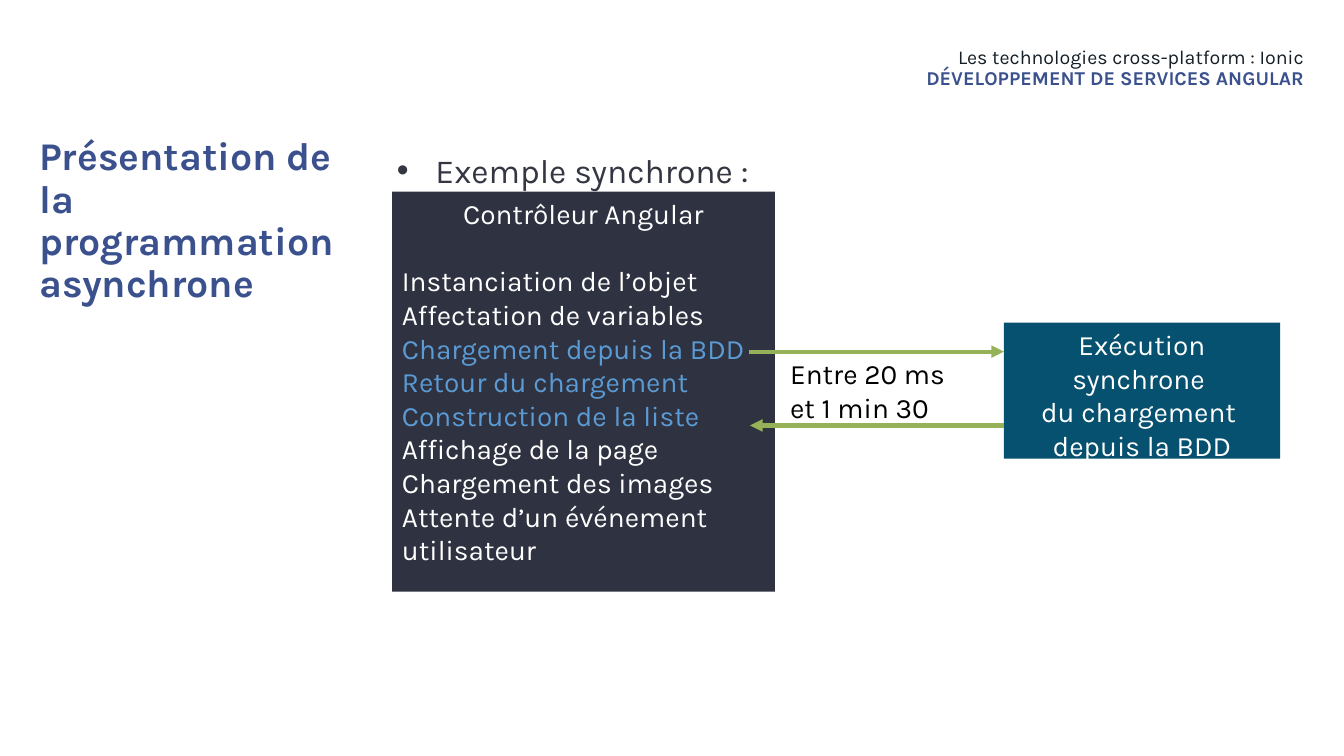
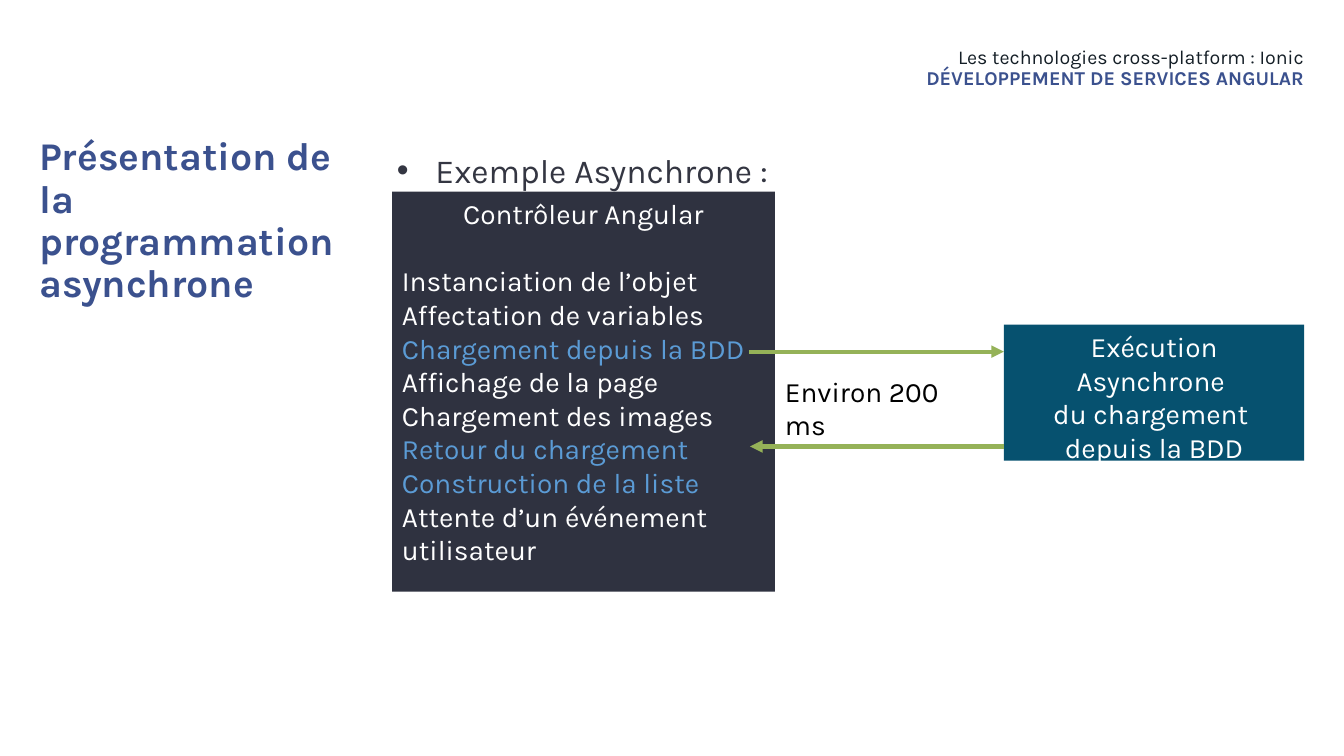
from dataclasses import dataclass

from lxml import etree
from pptx import Presentation
from pptx import util as u
from pptx.dml.color import RGBColor as Rgb
from pptx.enum import shapes, text
from pptx.oxml import ns

LEFT, MID, RIGHT = text.PP_ALIGN.LEFT, text.PP_ALIGN.CENTER, text.PP_ALIGN.RIGHT


@dataclass(frozen=True)
class Theme:
    font: str = "Karla"
    blue: str = "3B518E"
    ink: str = "141E26"
    grey: str = "343642"
    night: str = "2F3240"
    teal: str = "06516F"
    sky: str = "5B9BD5"
    green: str = "95B258"
    white: str = "FFFFFF"
    black: str = "000000"
    title: int = 28
    list: int = 24
    body: int = 20
    head: int = 14
    rule: int = 3


def put(item, form):
    for key, val in form.items():
        setattr(item, key, val)


def box(*sides):
    return dict(zip(("left", "top", "width", "height"), map(u.Cm, sides)))


class Deck:
    def __init__(self, theme):
        self.theme = theme
        self.prs = Presentation()
        put(self.prs, {"slide_width": u.Cm(33.87), "slide_height": u.Cm(19.05)})
        self.slide = None

    def page(self):
        self.slide = self.prs.slides.add_slide(self.prs.slide_layouts[1])

    def fill(self, shape, lines, size, flush=False, **form):
        frame = shape.text_frame
        put(frame, {"word_wrap": True, "auto_size": text.MSO_AUTO_SIZE.NONE,
                    "vertical_anchor": text.MSO_ANCHOR.TOP})
        if flush:
            put(frame, {"margin_" + side: 0 for side in ("left", "top", "right", "bottom")})
        for n, (words, tint, extra) in enumerate(lines):
            para = frame.add_paragraph() if n else frame.paragraphs[0]
            para.text = words
            look = {"alignment": LEFT, "space_before": u.Pt(0), **form, **extra}
            bold = look.pop("bold", False)
            put(para, look)
            for run in para.runs:
                put(run.font, {"name": self.theme.font, "size": u.Pt(size), "bold": bold})
                run.font.color.rgb = Rgb.from_string(tint)

    def title(self, words):
        shape = self.slide.shapes.title
        put(shape, box(0.99, 3.45, 7.92, 12.29))
        self.fill(shape, [(words, self.theme.blue, {"bold": True})],
                  self.theme.title, True, line_spacing=0.9)

    def header(self, topic, part):
        shape = self.slide.shapes.add_textbox(*box(10.62, 1.19, 22.25, 1.5).values())
        lines = [(topic, self.theme.ink, {}), (part, self.theme.blue, {"bold": True})]
        self.fill(shape, lines, self.theme.head, True, alignment=RIGHT, line_spacing=0.9)

    def bullet(self, words):
        shape = self.slide.placeholders[1]
        put(shape, box(9.75, 3.45, 23.14, 1.37))
        self.fill(shape, [(words, self.theme.grey, {})], self.theme.list, line_spacing=1.2)
        props = shape.text_frame.paragraphs[0]._p.get_or_add_pPr()
        dent = u.Cm(0.97)
        for key, val in {"marL": dent, "indent": -dent}.items():
            props.set(key, str(int(val)))
        etree.SubElement(props, ns.qn("a:buChar"), char="•")

    def block(self, sides, tint, lines):
        shape = self.slide.shapes.add_shape(shapes.MSO_SHAPE.RECTANGLE, *box(*sides).values())
        shape.shadow.inherit = False
        shape.fill.solid()
        shape.fill.fore_color.rgb = Rgb.from_string(tint)
        shape.line.fill.background()
        self.fill(shape, lines, self.theme.body)

    def note(self, sides, lines):
        shape = self.slide.shapes.add_textbox(*box(*sides).values())
        self.fill(shape, [(words, self.theme.black, {}) for words in lines], self.theme.body)

    def arrow(self, start, end, y):
        line = self.slide.shapes.add_connector(
            shapes.MSO_CONNECTOR.STRAIGHT, u.Cm(start), u.Cm(y), u.Cm(end), u.Cm(y))
        line.line.color.rgb = Rgb.from_string(self.theme.green)
        line.line.width = u.Pt(self.theme.rule)
        props = line.element.spPr
        etree.SubElement(props.find(ns.qn("a:ln")), ns.qn("a:tailEnd"), type="triangle")
        etree.SubElement(props, ns.qn("a:effectLst"))


LOAD = "Chargement depuis la BDD"
BACK = ["Retour du chargement", "Construction de la liste"]
SHOW = ["Affichage de la page", "Chargement des images"]

CASES = [
    {"name": "Exemple synchrone :", "mode": "synchrone", "steps": BACK + SHOW,
     "task": (25.3, 8.13, 6.96, 3.43), "back": 10.72,
     "note": (19.66, 8.86, 5.23, 1.96), "time": ["Entre 20 ms", "et 1 min 30"]},
    {"name": "Exemple Asynchrone :", "mode": "Asynchrone", "steps": SHOW + BACK,
     "task": (25.3, 8.18, 7.57, 3.43), "back": 11.25,
     "note": (19.53, 9.3, 5.51, 1.12), "time": ["Environ 200 ms"]},
]


def main():
    theme = Theme()
    deck = Deck(theme)
    for case in CASES:
        deck.page()
        deck.title("Présentation de la programmation asynchrone")
        deck.header("Les technologies cross-platform : Ionic",
                    "DÉVELOPPEMENT DE SERVICES ANGULAR")
        deck.bullet(case["name"])
        steps = ["Instanciation de l’objet", "Affectation de variables", LOAD,
                 *case["steps"], "Attente d’un événement utilisateur"]
        lines = [("Contrôleur Angular", theme.white,
                  {"alignment": MID, "space_after": u.Pt(24)})]
        lines += [(step, theme.sky if step in [LOAD, *BACK] else theme.white, {})
                  for step in steps]
        deck.block((9.88, 4.83, 9.65, 10.08), theme.night, lines)
        task = f"Exécution {case['mode']} \vdu chargement \vdepuis la BDD"
        deck.block(case["task"], theme.teal, [(task, theme.white, {"alignment": MID})])
        deck.arrow(18.87, 25.3, 8.86)
        deck.arrow(25.3, 18.9, case["back"])
        deck.note(case["note"], case["time"])
    deck.prs.save("out.pptx")


if __name__ == "__main__":
    main()
